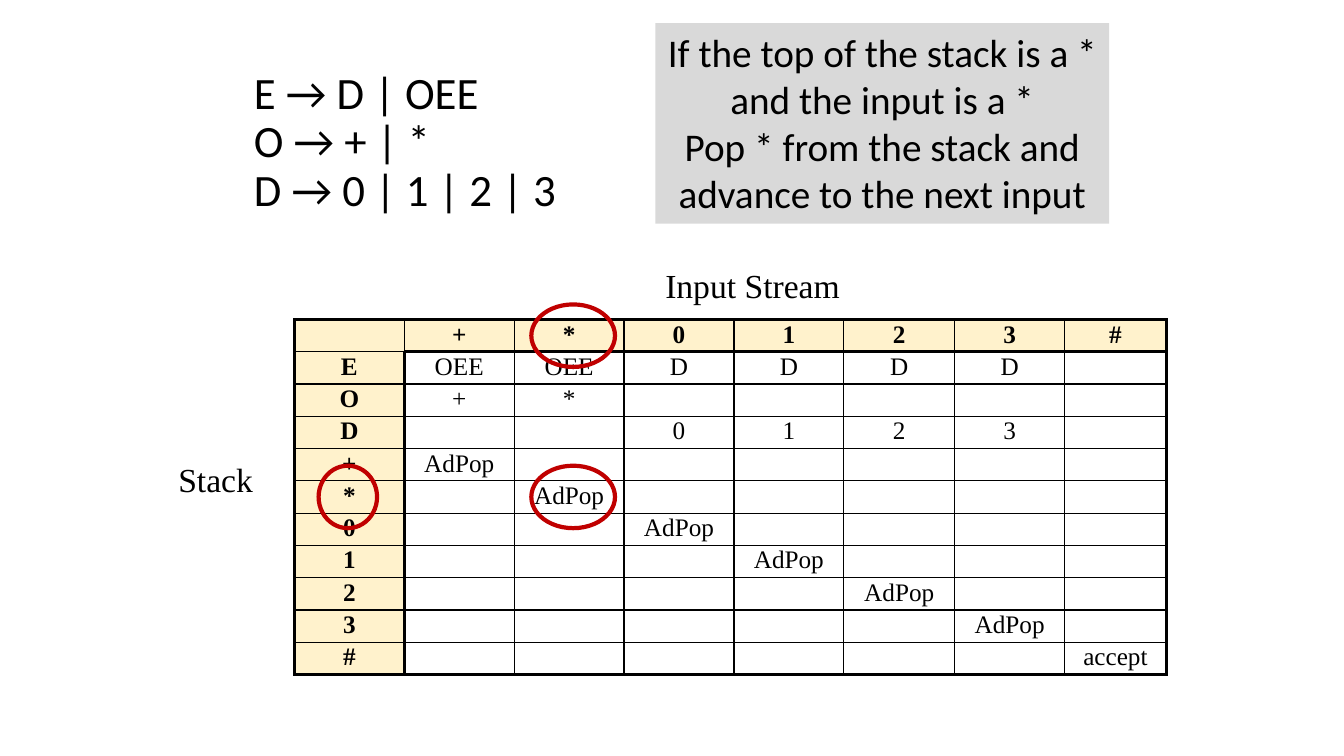
"""Build a slide showing a pushdown parse table with the matching * step circled."""
from lxml.etree import SubElement
from pptx import Presentation
from pptx.dml.color import RGBColor
from pptx.enum.shapes import MSO_SHAPE as SHAPE
from pptx.enum.text import MSO_ANCHOR as ANCHOR, PP_ALIGN as ALIGN
from pptx.oxml.ns import qn
from pptx.util import Inches, Pt

COLORS = {"ink": "000000", "header": "FFF2CC", "note": "D9D9D9", "ring": "C00000"}
SERIF, SANS = "Times New Roman", "Calibri"

GRAMMAR = ["E → D | OEE\vO → + | *\vD → 0 | 1 | 2 | 3"]
NOTE = [
    "If the top of the stack is a *",
    "and the input is a *",
    "Pop * from the stack and",
    "advance to the next input",
]
INPUTS = ["+", "*", "0", "1", "2", "3", "#"]
STACK = ["E", "O", "D"] + INPUTS
ACTIONS = {
    "E": dict.fromkeys("+*", "OEE") | dict.fromkeys("0123", "D"),
    "O": {c: c for c in "+*"},
    "D": {c: c for c in "0123"},
    **{c: {c: "AdPop"} for c in "+*0123"},
    "#": {"#": "accept"},
}
COL_WIDTHS = [1.09] * 5 + [1.1, 1.09, 1.01]
ROW_HEIGHT = 0.32
TABLE_LEFT, TABLE_TOP = 2.92, 3.17
THIN, THICK = 1, 2.25
LABELS = [("Stack", (1.67, 4.5, 1.25, 0.5)), ("Input Stream", (6.5, 2.58, 2.17, 0.5))]
RINGS = [(3.16, 4.62, 0.58, 0.62), (5.27, 3.02, 0.83, 0.62), (5.27, 4.62, 0.83, 0.62)]


def rgb(name):
    return RGBColor.from_string(COLORS[name])


def write(tf, lines, align=ALIGN.LEFT, spacing=1.0, **fmt):
    for i, line in enumerate(lines):
        p = tf.paragraphs[0] if i == 0 else tf.add_paragraph()
        p.text, p.alignment, p.line_spacing = line, align, spacing
        for r in p.runs:
            r.font.color.rgb = rgb("ink")
            for name, value in fmt.items():
                setattr(r.font, name, value)


def add_text(s, box, lines, anchor=ANCHOR.TOP, **fmt):
    tf = s.shapes.add_textbox(*map(Inches, box)).text_frame
    tf.word_wrap, tf.vertical_anchor = True, anchor
    write(tf, lines, **fmt)


def add_shape(s, kind, box):
    sp = s.shapes.add_shape(kind, *map(Inches, box))
    sp.shadow.inherit = False
    return sp


def add_ring(s, box):
    sp = add_shape(s, SHAPE.OVAL, box)
    sp.fill.background()
    sp.line.color.rgb, sp.line.width = rgb("ring"), Pt(3)


def is_thick(edge, last, across):
    return edge in (0, last) or (edge == 1 and across > 0)


def set_borders(cell, edges):
    tc_pr = cell._tc.get_or_add_tcPr()
    for side, thick in edges.items():
        ln = SubElement(tc_pr, qn(f"a:ln{side}"), w=str(Pt(THICK if thick else THIN)))
        SubElement(SubElement(ln, qn("a:solidFill")), qn("a:srgbClr"), val=COLORS["ink"])


def format_cell(cell, text, row, col, rows, cols):
    header = row == 0 or col == 0
    margins = {"margin_left": 0.1, "margin_right": 0.1, "margin_top": 0.01, "margin_bottom": 0.01}
    for name, value in margins.items():
        setattr(cell, name, Inches(value))
    set_borders(cell, {
        "L": is_thick(col, cols, row),
        "R": is_thick(col + 1, cols, row),
        "T": is_thick(row, rows, col),
        "B": is_thick(row + 1, rows, col),
    })
    if header:
        cell.fill.solid()
        cell.fill.fore_color.rgb = rgb("header")
    else:
        cell.fill.background()
    if text:
        write(cell.text_frame, [text], align=ALIGN.CENTER, name=SERIF, size=Pt(18), bold=header)
    else:
        SubElement(cell.text_frame.paragraphs[0]._p, qn("a:endParaRPr"), sz="1200")


def add_parse_table(s):
    grid = [[""] + INPUTS] + [[k] + [ACTIONS[k].get(c, "") for c in INPUTS] for k in STACK]
    rows, cols = len(grid), len(COL_WIDTHS)
    box = (TABLE_LEFT, TABLE_TOP, sum(COL_WIDTHS), rows * ROW_HEIGHT)
    table = s.shapes.add_table(rows, cols, *map(Inches, box)).table
    table.first_row = table.horz_banding = False
    for column, width in zip(table.columns, COL_WIDTHS):
        column.width = Inches(width)
    for i, line in enumerate(grid):
        table.rows[i].height = Inches(ROW_HEIGHT)
        for j, text in enumerate(line):
            format_cell(table.cell(i, j), text, i, j, rows, cols)


def add_note(s):
    sp = add_shape(s, SHAPE.RECTANGLE, (6.5, 0.23, 4.5, 1.99))
    sp.fill.solid()
    sp.fill.fore_color.rgb = rgb("note")
    sp.line.fill.background()
    sp.text_frame.word_wrap, sp.text_frame.vertical_anchor = False, ANCHOR.TOP
    write(sp.text_frame, NOTE, align=ALIGN.CENTER, name=SANS, size=Pt(28))


def main():
    prs = Presentation()
    prs.slide_width, prs.slide_height = Inches(13.33), Inches(7.5)
    s = prs.slides.add_slide(prs.slide_layouts[6])
    add_text(s, (2.42, 0.42, 4.67, 2), GRAMMAR, ANCHOR.MIDDLE, spacing=0.9, name=SANS, size=Pt(32))
    add_parse_table(s)
    for text, box in LABELS:
        add_text(s, box, [text], name=SERIF, size=Pt(24))
    add_note(s)
    for box in RINGS:
        add_ring(s, box)
    prs.save("out.pptx")


if __name__ == "__main__":
    main()
